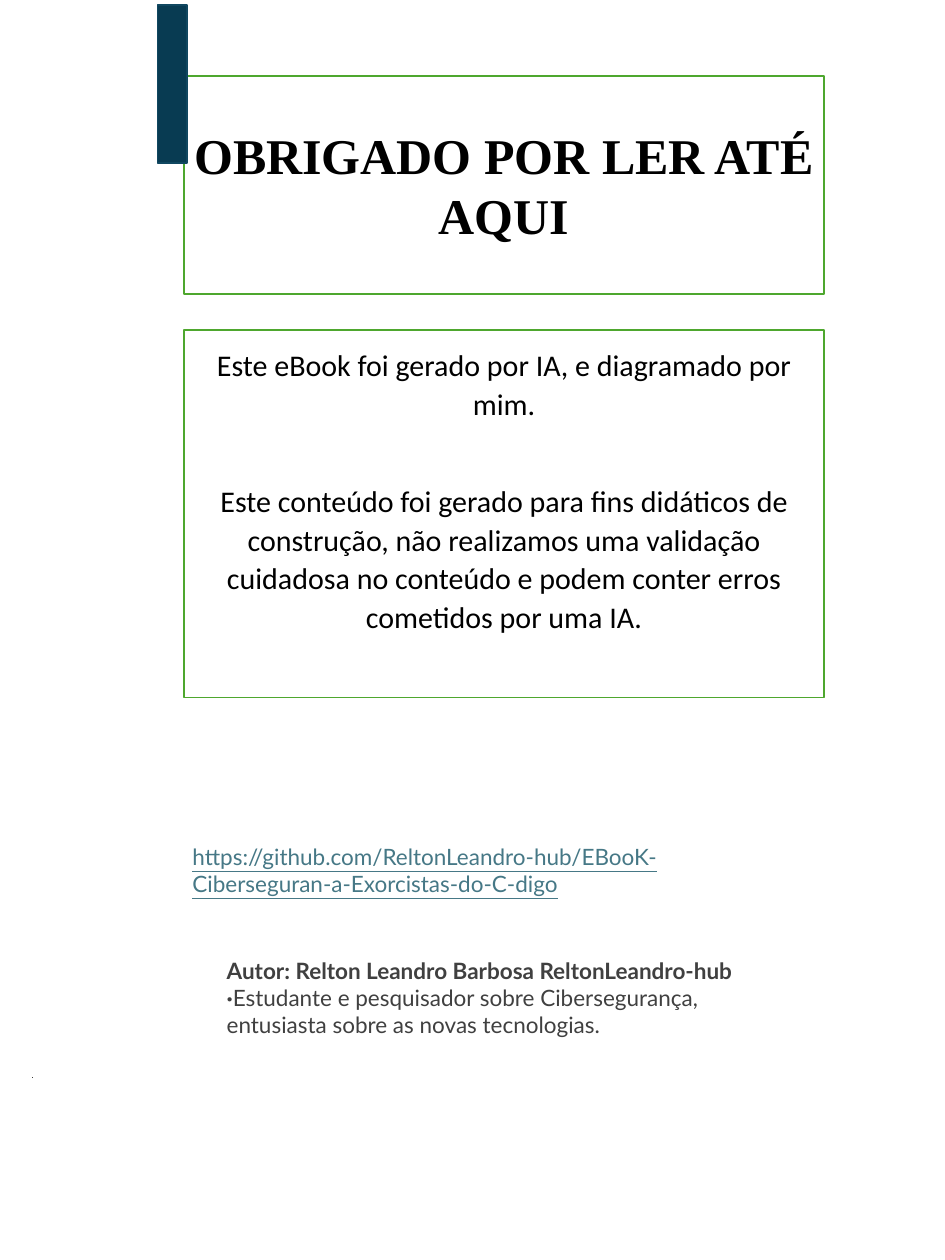
import pptx
import pptx.util
import pptx.dml.color
import pptx.enum.shapes
import pptx.enum.text

Inches, Pt = pptx.util.Inches, pptx.util.Pt
ANCHOR = pptx.enum.text.MSO_ANCHOR
CENTER = pptx.enum.text.PP_ALIGN.CENTER
CARD_LEFT, CARD_WIDTH = 2.04, 7.12
GREEN, WHITE, BLACK = "4EA72E", "FFFFFF", "000000"


def color(value):
    return pptx.dml.color.RGBColor.from_string(value)


def place(sp, left, top, width, height):
    sp.left, sp.top, sp.width, sp.height = map(Inches, (left, top, width, height))


def paint(sp, fill, line):
    sp.fill.solid()
    sp.fill.fore_color.rgb = color(fill)
    sp.line.color.rgb = color(line)
    sp.line.width = Pt(1.5)


def set_font(p, name, size, text_color, bold=None):
    p.font.name = name
    p.font.size = Pt(size)
    p.font.color.rgb = color(text_color)
    p.font.bold = bold


def add_title(s, text):
    sp = s.shapes.title
    place(sp, CARD_LEFT, 0.84, CARD_WIDTH, 2.43)
    paint(sp, WHITE, GREEN)
    tf = sp.text_frame
    tf.text = text
    tf.word_wrap = True
    tf.auto_size = pptx.enum.text.MSO_AUTO_SIZE.NONE
    tf.vertical_anchor = ANCHOR.MIDDLE
    p = tf.paragraphs[0]
    p.alignment = CENTER
    set_font(p, "Times New Roman", 40, BLACK, True)


def add_rect(s, box, fill, line):
    sp = s.shapes.add_shape(pptx.enum.shapes.MSO_SHAPE.RECTANGLE, *map(Inches, box))
    sp.shadow.inherit = False
    paint(sp, fill, line)
    return sp


def add_notice(s, texts):
    sp = add_rect(s, (CARD_LEFT, 3.67, CARD_WIDTH, 4.08), WHITE, GREEN)
    tf = sp.text_frame
    tf.word_wrap = True
    tf.vertical_anchor = ANCHOR.MIDDLE
    tf.margin_bottom = Inches(0.6)
    for i, text in enumerate(texts):
        p = tf.add_paragraph() if i else tf.paragraphs[0]
        p.text = text
        p.alignment = CENTER
        p.line_spacing = 1.07
        p.space_before = Pt(47 if i else 0)
        set_font(p, "Calibri", 24, BLACK)


def add_text(s, box, runs, font, size, text_color, anchor=ANCHOR.TOP):
    """Add one paragraph made of (text, bold) runs; return the paragraph."""
    tf = s.shapes.add_textbox(*map(Inches, box)).text_frame
    tf.word_wrap = True
    tf.vertical_anchor = anchor
    p = tf.paragraphs[0]
    set_font(p, font, size, text_color)
    for text, bold in runs:
        r = p.add_run()
        r.text = text
        r.font.bold = bold
    return p


def main():
    prs = pptx.Presentation()
    prs.slide_width, prs.slide_height = Inches(10.5), Inches(14)
    s = prs.slides.add_slide(prs.slide_layouts[5])

    add_title(s, "OBRIGADO POR LER ATÉ AQUI")
    add_notice(s, [
        "Este eBook foi gerado por IA, e diagramado por mim.",
        "Este conteúdo foi gerado para fins didáticos de construção, não realizamos "
        "uma validação cuidadosa no conteúdo e podem conter erros cometidos por uma IA.",
    ])
    add_rect(s, (1.75, 0.06, 0.33, 1.75), "083B52", "104760")

    url = "https://github.com/ReltonLeandro-hub/EBooK-Ciberseguran-a-Exorcistas-do-C-digo"
    link = add_text(s, (2.04, 9.32, 6.83, 0.71), [(url, False)], "Lato", 18, "467886")
    link.font.underline = True

    add_text(s, (0.25, 9.21, 2.17, 2.84), [(".", False)], "Arial", 7, BLACK, ANCHOR.BOTTOM)
    add_text(s, (2.42, 10.58, 6.45, 1.31), [
        ("Autor: Relton Leandro Barbosa ReltonLeandro-hub ·", True),
        ("Estudante e pesquisador sobre Cibersegurança, "
         "entusiasta sobre as novas tecnologias.", False),
    ], "Lato", 18, "404040")

    prs.save("out.pptx")


if __name__ == "__main__":
    main()
